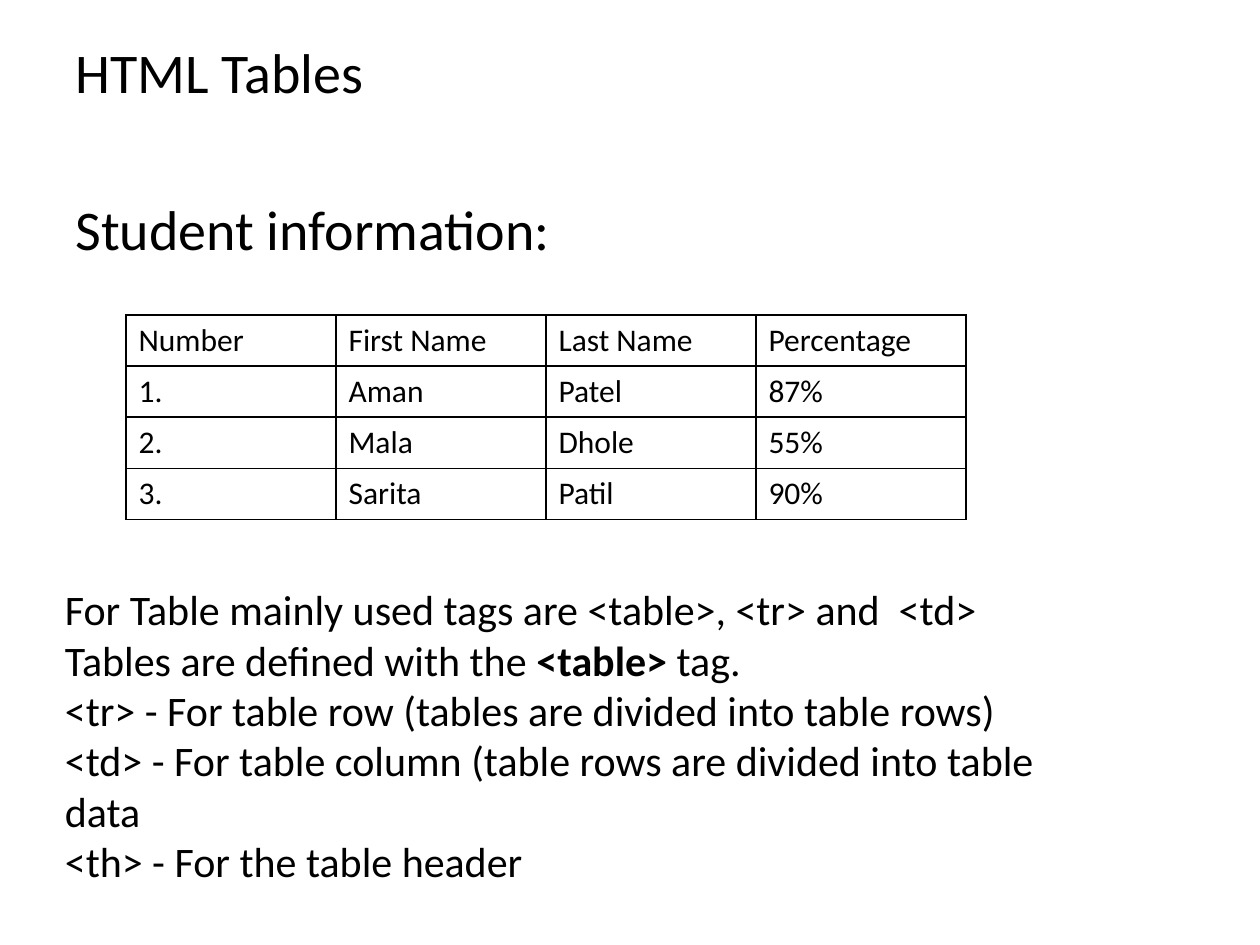
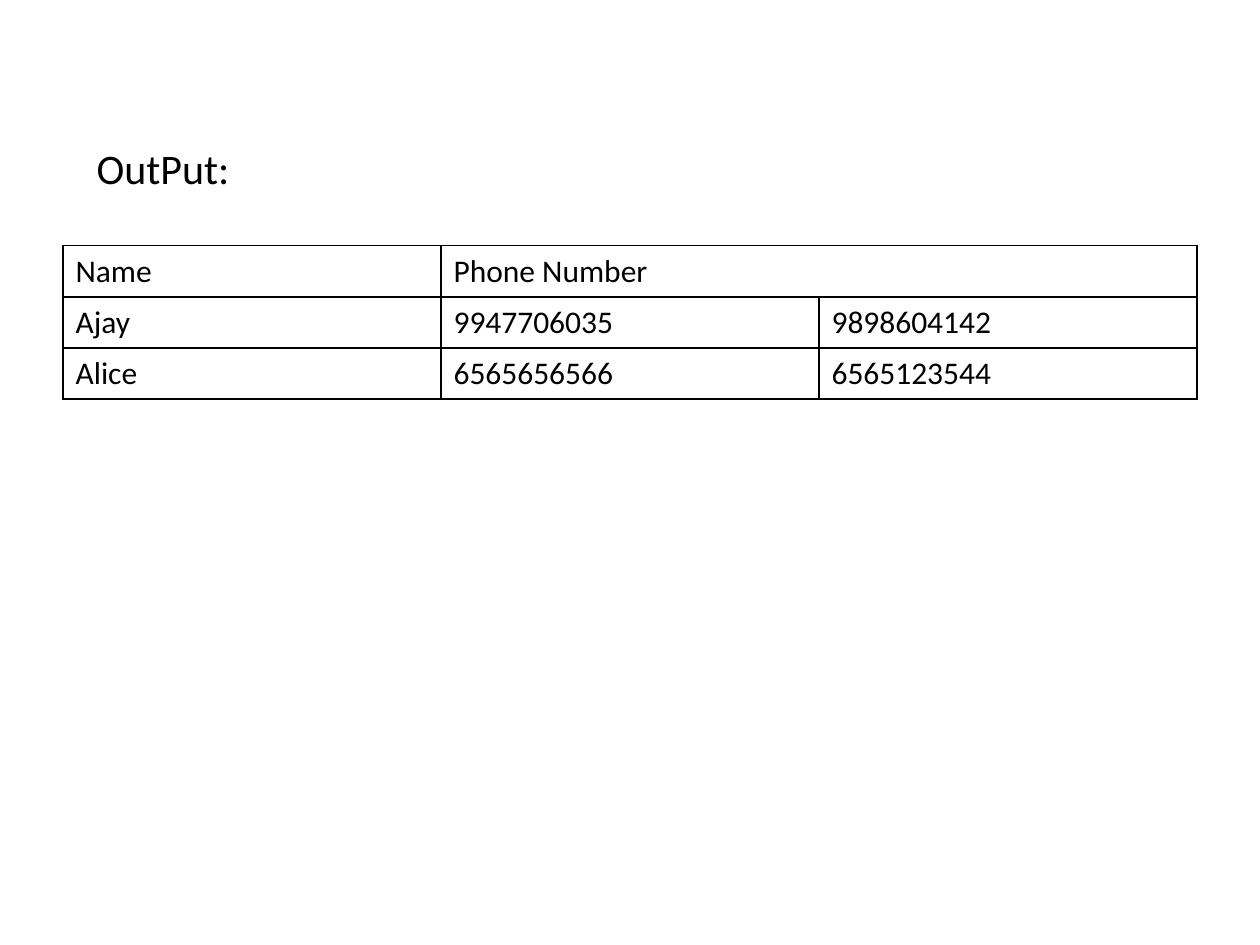
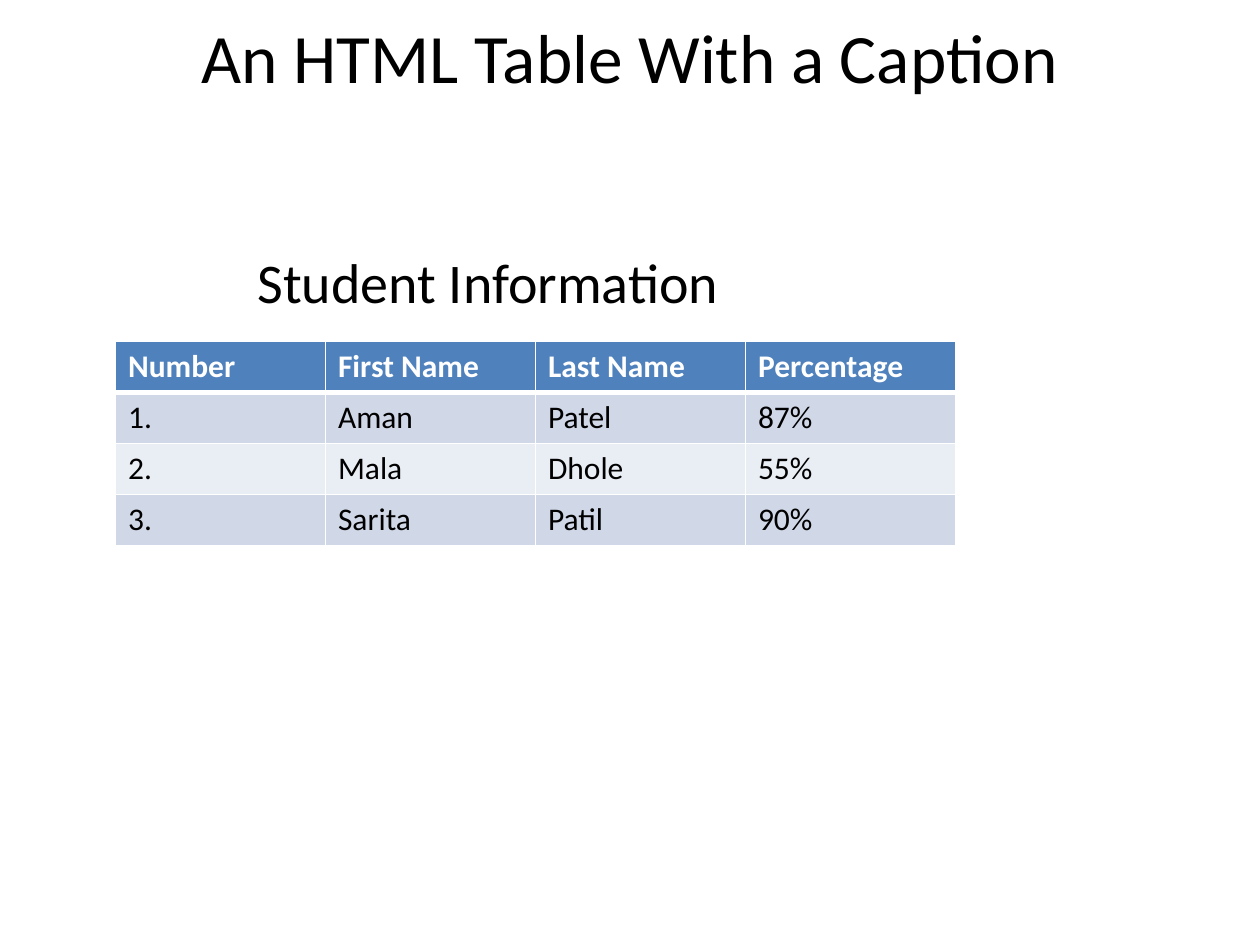
from pptx import Presentation
from pptx.dml.color import RGBColor
from pptx.enum.text import MSO_ANCHOR as Anchor, MSO_AUTO_SIZE as AutoSize, PP_ALIGN as Align
from pptx.oxml import parse_xml
from pptx.oxml.ns import nsdecls
from pptx.util import Pt

COLORS = {
    "text": "000000",
    "paper": "FFFFFF",
    "header": "4F81BD",
    "odd_row": "D0D8E8",
    "even_row": "E9EDF4",
}
FONT = "Calibri"
TITLE_ONLY = 5
ROW_HEIGHT = 29.2
CELL_SIZE = 18

STUDENTS = [
    ["Number", "First Name", "Last Name", "Percentage"],
    ["1.", "Aman", "Patel", "87%"],
    ["2.", "Mala", "Dhole", "55%"],
    ["3.", "Sarita", "Patil", "90%"],
]
PHONES = [
    ["Name", "Phone Number", ""],
    ["Ajay", "9947706035", "9898604142"],
    ["Alice", "6565656566", "6565123544"],
]
TAG_NOTES = [
    [("For Table mainly used tags are <table>, <tr> and  <td>", False)],
    [("Tables are defined with the ", False), ("<table>", True), (" tag.", False)],
    [("<tr> - For table row (tables are divided into table rows)", False)],
    [("<td> - For table column (table rows are divided into table data", False)],
    [("<th> - For the table header", False)],
]


def set_all(target, values):
    for name, value in values.items():
        setattr(target, name, value)


def write_run(paragraph, text, size, bold=False, color="text"):
    run = paragraph.add_run()
    run.text = text
    set_all(run.font, {"name": FONT, "size": Pt(size), "bold": bold})
    run.font.color.rgb = RGBColor.from_string(COLORS[color])


def fill_frame(frame, lines, size, align=Align.LEFT, anchor=Anchor.TOP):
    """Write lines, each a list of (text, bold) parts, as paragraphs."""
    set_all(frame, {"word_wrap": True, "auto_size": AutoSize.NONE, "vertical_anchor": anchor})
    for index, parts in enumerate(lines):
        paragraph = frame.add_paragraph() if index else frame.paragraphs[0]
        paragraph.alignment = align
        for text, bold in parts:
            write_run(paragraph, text, size, bold)


def add_titled_slide(deck, title, box, size, **layout):
    slide = deck.slides.add_slide(deck.slide_layouts[TITLE_ONLY])
    heading = slide.shapes.title
    set_all(heading, dict(zip(("left", "top", "width", "height"), map(Pt, box))))
    fill_frame(heading.text_frame, [[(title, False)]], size, **layout)
    return slide


def add_text(slide, lines, box, size, **layout):
    textbox = slide.shapes.add_textbox(*map(Pt, box))
    fill_frame(textbox.text_frame, lines, size, **layout)


def set_borders(cell, color, widths):
    """Draw the cell's left, right, top and bottom lines in the given widths."""
    properties = cell._tc.get_or_add_tcPr()
    for side, width in zip("LRTB", widths):
        properties.append(parse_xml(
            f'<a:ln{side} {nsdecls("a")} w="{Pt(width)}"><a:solidFill>'
            f'<a:srgbClr val="{COLORS[color]}"/></a:solidFill></a:ln{side}>'))


def style_plain(cell, row):
    set_borders(cell, "text", (1, 1, 1, 1))
    cell.fill.background()
    return {}


def style_banded(cell, row):
    set_borders(cell, "paper", (1, 1, 3 if row == 1 else 1, 1 if row else 3))
    band = "header" if row == 0 else "odd_row" if row % 2 else "even_row"
    cell.fill.solid()
    cell.fill.fore_color.rgb = RGBColor.from_string(COLORS[band])
    return {} if row else {"bold": True, "color": "paper"}


def add_grid(slide, records, left, top, column_width, style_cell):
    """Add a table of equal columns; style_cell returns the cell's text format."""
    rows, columns = len(records), len(records[0])
    table = slide.shapes.add_table(rows, columns, Pt(left), Pt(top), Pt(column_width * columns),
                                   Pt(ROW_HEIGHT * rows)).table
    set_all(table, {"first_row": style_cell is style_banded,
                    "horz_banding": style_cell is style_banded})
    for column in table.columns:
        column.width = Pt(column_width)
    for row, record in enumerate(records):
        table.rows[row].height = Pt(ROW_HEIGHT)
        for column, value in enumerate(record):
            cell = table.cell(row, column)
            text_format = style_cell(cell, row)
            if value:
                write_run(cell.text_frame.paragraphs[0], value, CELL_SIZE, **text_format)
    return table


def build_html_tables(deck):
    slide = add_titled_slide(deck, "HTML Tables", (36, 18, 648, 46), 32)
    add_text(slide, [[("Student information:", False)]], (36, 107.5, 648, 46), 32)
    add_grid(slide, STUDENTS, 72, 180, 120, style_plain)
    add_text(slide, TAG_NOTES, (30, 330, 588, 204), 24)


def build_phone_output(deck):
    slide = add_titled_slide(deck, "OutPut:", (48, 78, 480, 36), 24)
    table = add_grid(slide, PHONES, 36, 140.4, 216, style_plain)
    table.cell(0, 1).merge(table.cell(0, 2))


def build_captioned_table(deck):
    slide = add_titled_slide(deck, "An HTML Table With a Caption", (36, 4, 648, 56), 39.6,
                             align=Align.CENTER, anchor=Anchor.MIDDLE)
    add_text(slide, [[("Student Information", False)]], (36, 138, 486, 46), 32,
             align=Align.CENTER)
    add_grid(slide, STUDENTS, 66, 195, 120, style_banded)


def main():
    deck = Presentation()
    set_all(deck, {"slide_width": Pt(720), "slide_height": Pt(540)})
    for build in (build_html_tables, build_phone_output, build_captioned_table):
        build(deck)
    deck.save("out.pptx")


if __name__ == "__main__":
    main()
